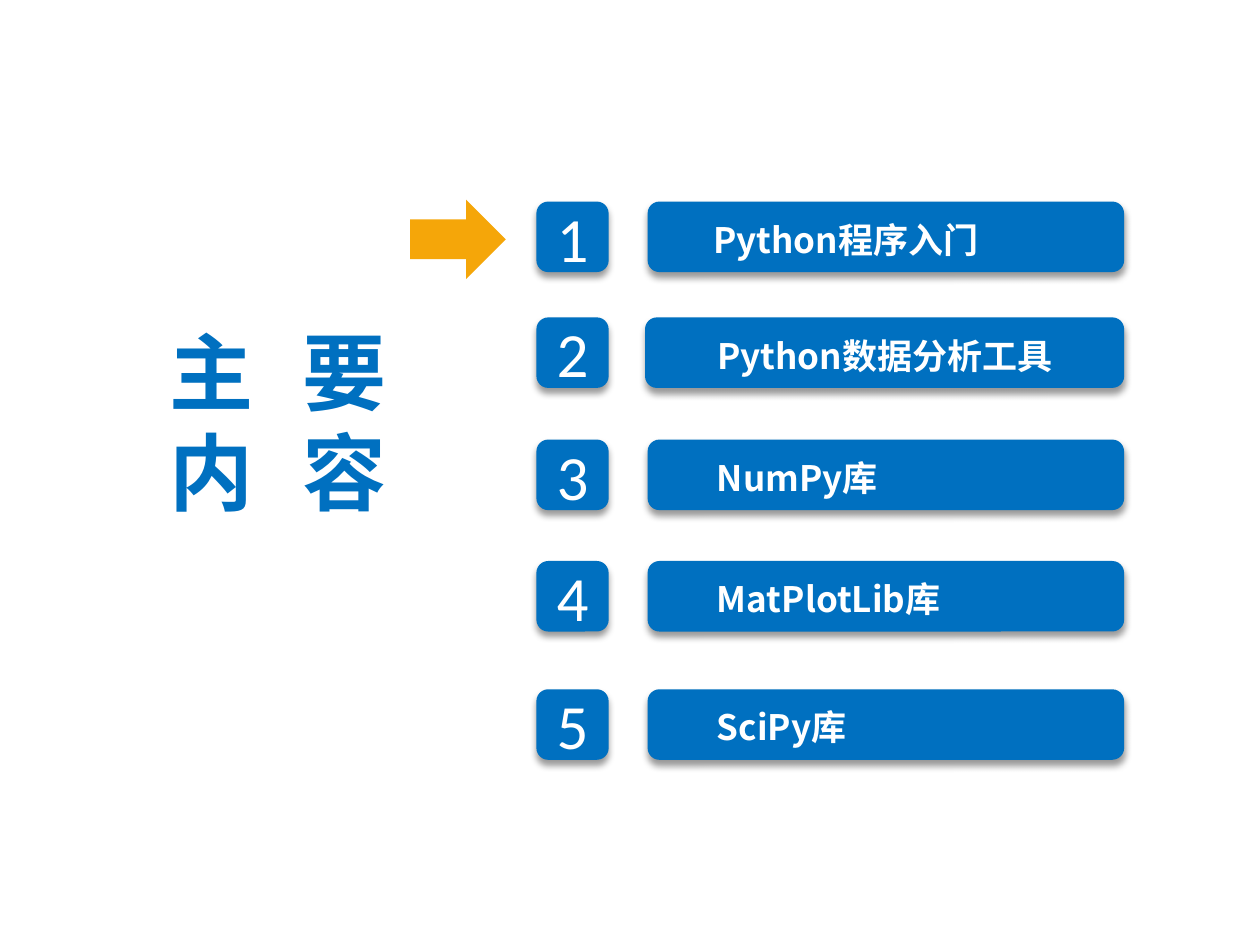
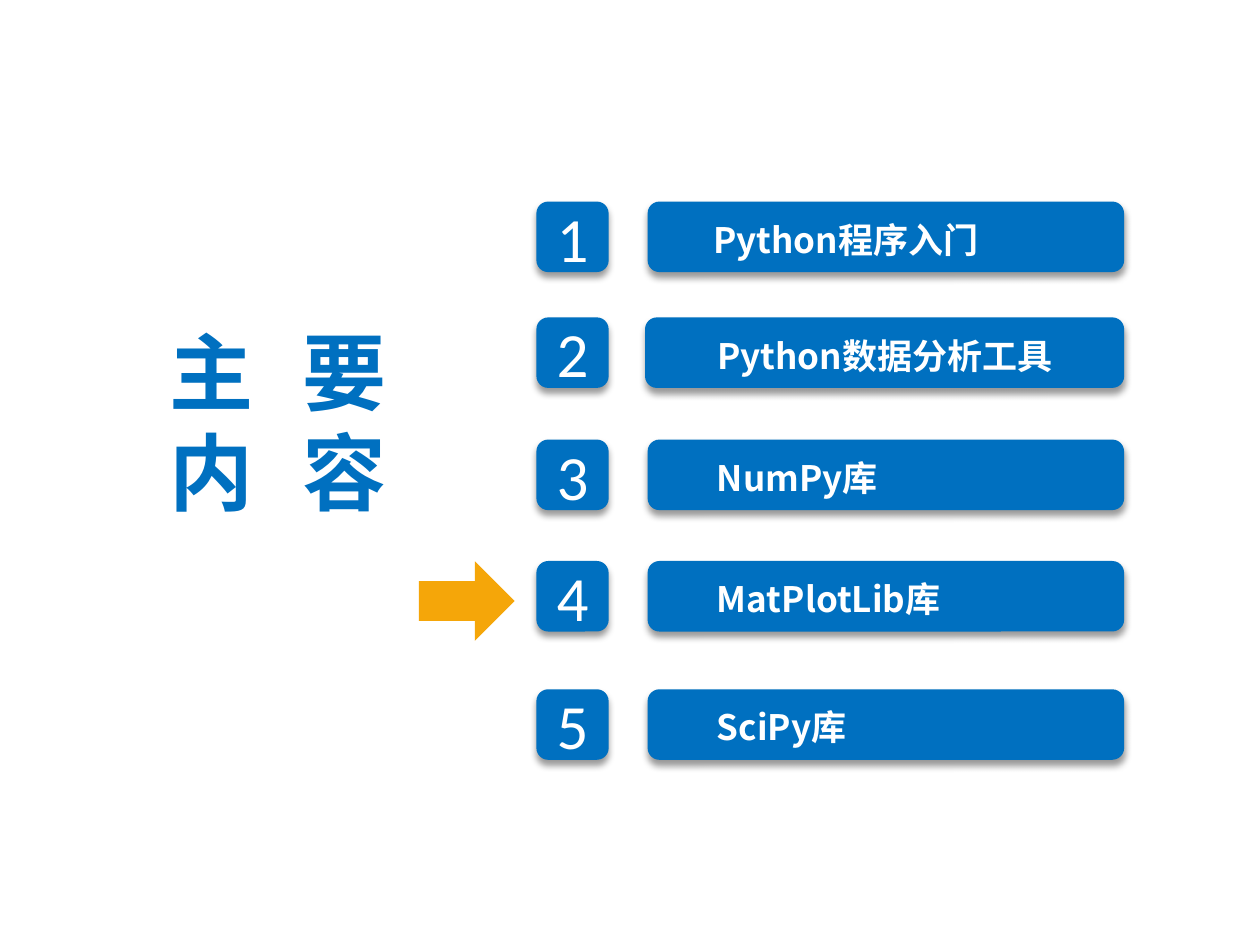
from lxml.etree import SubElement
from pptx import Presentation
from pptx.dml.color import RGBColor
from pptx.enum.shapes import MSO_SHAPE
from pptx.enum.text import MSO_ANCHOR, MSO_AUTO_SIZE, PP_ALIGN
from pptx.oxml import parse_xml
from pptx.oxml.ns import nsdecls, qn
from pptx.util import Pt

BLUE, ORANGE, WHITE = "0070C0", "F5A609", "FFFFFF"
CHINESE_FONT = "Noto Sans CJK SC"
TITLE_FORMAT = {"name": CHINESE_FONT, "size": Pt(48), "bold": True}
TOPIC_FORMAT = {"name": CHINESE_FONT, "size": Pt(20), "bold": True}
NUMBER_FORMAT = {"name": "Calibri", "size": Pt(36), "bold": False}
FRAME_FORMAT = {
    "margin_left": Pt(9.4), "margin_right": Pt(9.4),
    "margin_top": Pt(5), "margin_bottom": Pt(5), "word_wrap": True,
}
SOFT_SHADOW = (
    f'<a:effectLst {nsdecls("a")}>'
    f'<a:outerShdw blurRad="{Pt(4)}" dist="{Pt(3)}" dir="5400000" rotWithShape="0">'
    '<a:srgbClr val="000000"><a:alpha val="40000"/></a:srgbClr>'
    '</a:outerShdw></a:effectLst>'
)

NUMBER_LEFT, NUMBER_WIDTH, BAR_HEIGHT = 306.5, 41.3, 40.3
BAR_RIGHT = 642.4
TITLE_LINES = ["主要", "内容"]
# topic, row top, bar left, text left, text width
TOPICS = [
    ("Python程序入门", 115.2, 370.1, 398.2, 232.6),
    ("Python数据分析工具", 181.4, 368.6, 400.3, 267.8),
    ("NumPy库", 251.2, 370.1, 400.3, 241.9),
    ("MatPlotLib库", 320.6, 370.1, 400.3, 230.4),
    ("SciPy库", 393.9, 370.1, 400.3, 230.4),
]
# left and top of the arrow that marks the current topic
ARROW_PLACES = [(239, 109.4), (244.1, 316.1)]


def add_filled_shape(shapes, preset, color, left, top, width, height):
    shape = shapes.add_shape(preset, Pt(left), Pt(top), Pt(width), Pt(height))
    shape.fill.solid()
    shape.fill.fore_color.rgb = RGBColor.from_string(color)
    shape.line.fill.background()
    shape.shadow.inherit = False
    if preset == MSO_SHAPE.ROUNDED_RECTANGLE:
        properties = shape._element.spPr
        properties.replace(properties.find(qn("a:effectLst")), parse_xml(SOFT_SHADOW))
    return shape


def add_text(paragraph, text, color, font_format):
    run = paragraph.add_run()
    run.text = text
    for name, value in font_format.items():
        setattr(run.font, name, value)
    run.font.color.rgb = RGBColor.from_string(color)
    SubElement(run.font._element, qn("a:ea"), typeface=font_format["name"])
    return run


presentation = Presentation()
presentation.slide_width, presentation.slide_height = Pt(720), Pt(540)

for arrow_left, arrow_top in ARROW_PLACES:
    slide = presentation.slides.add_slide(presentation.slide_layouts[5])

    title = slide.shapes.title
    title.left, title.top, title.width, title.height = Pt(23.8), Pt(178), Pt(270), Pt(126)
    frame = title.text_frame
    for name, value in FRAME_FORMAT.items():
        setattr(frame, name, value)
    frame.auto_size = MSO_AUTO_SIZE.NONE
    frame.vertical_anchor = MSO_ANCHOR.TOP
    for index, characters in enumerate(TITLE_LINES):
        paragraph = frame.add_paragraph() if index else frame.paragraphs[0]
        paragraph.alignment = PP_ALIGN.CENTER
        paragraph.line_spacing = Pt(57.6)
        # The wide letter spacing of the space sets the two characters apart
        for text, spacing in zip(" ".join(characters), ("200", "1470", "200")):
            run = add_text(paragraph, text, BLUE, TITLE_FORMAT)
            run.font._element.set("spc", spacing)

    for number, (topic, top, bar_left, text_left, text_width) in enumerate(TOPICS, 1):
        number_box = add_filled_shape(slide.shapes, MSO_SHAPE.ROUNDED_RECTANGLE, BLUE,
                                      NUMBER_LEFT, top, NUMBER_WIDTH, BAR_HEIGHT)
        group = slide.shapes.add_group_shape()
        add_filled_shape(group.shapes, MSO_SHAPE.ROUNDED_RECTANGLE, BLUE,
                         bar_left, top, BAR_RIGHT - bar_left, BAR_HEIGHT)
        topic_box = group.shapes.add_textbox(Pt(text_left), Pt(top + 3.3),
                                             Pt(text_width), Pt(33.8))
        for box in (number_box, topic_box):
            for name, value in FRAME_FORMAT.items():
                setattr(box.text_frame, name, value)

        number_box.text_frame.vertical_anchor = MSO_ANCHOR.MIDDLE
        paragraph = number_box.text_frame.paragraphs[0]
        paragraph.alignment = PP_ALIGN.CENTER
        add_text(paragraph, str(number), WHITE, NUMBER_FORMAT)

        paragraph = topic_box.text_frame.paragraphs[0]
        paragraph.line_spacing = Pt(25.2)
        add_text(paragraph, topic, WHITE, TOPIC_FORMAT)

    arrow = add_filled_shape(slide.shapes, MSO_SHAPE.DOWN_ARROW, ORANGE,
                             arrow_left, arrow_top, 45.4, 54.7)
    arrow.rotation = 270

presentation.save("out.pptx")
